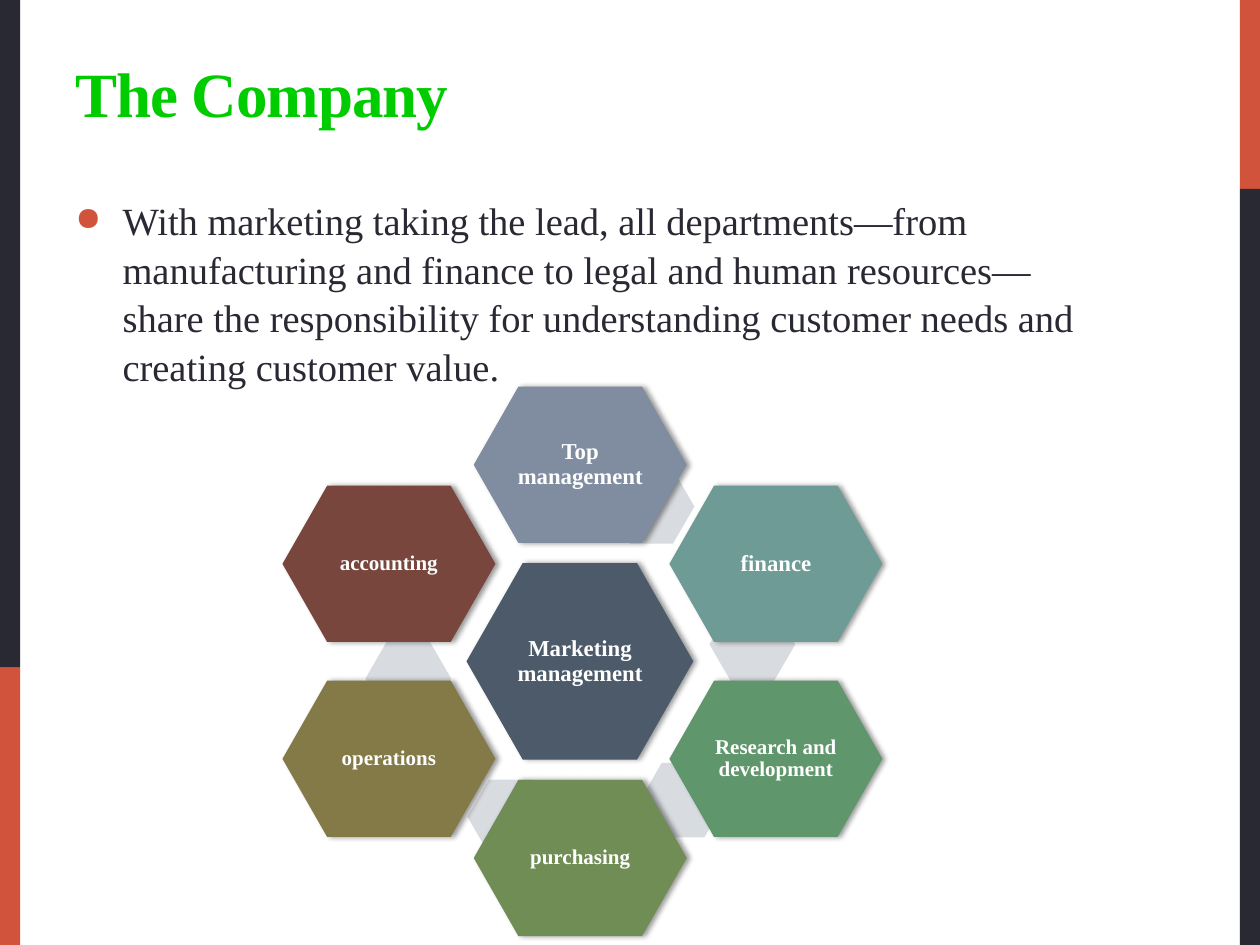
"""Build the slide on marketing's place among the company's departments."""
from typing import Any, NamedTuple

from lxml.etree import SubElement
from pptx import Presentation
from pptx.dml.color import RGBColor
from pptx.enum.shapes import MSO_SHAPE as Preset
from pptx.enum.text import MSO_ANCHOR as Anchor, PP_ALIGN as Align
from pptx.oxml.ns import qn
from pptx.shapes.autoshape import Shape
from pptx.slide import Slide
from pptx.util import Pt

RED = RGBColor(0xD2, 0x53, 0x3C)
DARK = RGBColor(0x29, 0x29, 0x34)
GREEN = RGBColor(0x00, 0xCC, 0x00)
WHITE = RGBColor(0xFF, 0xFF, 0xFF)
PALE = RGBColor(0xD8, 0xDB, 0xDF)
SLATE = RGBColor(0x4C, 0x5A, 0x6A)
BLUE_GREY = RGBColor(0x80, 0x8D, 0xA0)
TEAL = RGBColor(0x6F, 0x9B, 0x97)
SEA_GREEN = RGBColor(0x60, 0x96, 0x6C)
MOSS = RGBColor(0x6F, 0x8D, 0x54)
OLIVE = RGBColor(0x83, 0x7A, 0x48)
BROWN = RGBColor(0x79, 0x46, 0x3D)

FONT = "Times New Roman"
DEPARTMENT_SIZE = (121.7, 89.3)
CENTRE_SIZE = (129.6, 112.3)
TIE_SIZE = (49, 42.5)
NO_MARGINS = dict.fromkeys(
    ("margin_left", "margin_right", "margin_top", "margin_bottom"), Pt(1.5))


class Box(NamedTuple):
    left: float
    top: float
    width: float
    height: float


class Bar(NamedTuple):
    box: Box
    colour: RGBColor


class Department(NamedTuple):
    label: str
    left: float
    top: float
    colour: RGBColor
    size: int
    tie: tuple[float, float] | None = None
    extent: tuple[float, float] = DEPARTMENT_SIZE


BARS = (
    Bar(Box(708.5, 0, 11.5, 108), RED),
    Bar(Box(708.5, 108, 11.5, 432), DARK),
    Bar(Box(0, 381.6, 11.5, 158.4), RED),
    Bar(Box(0, 0, 11.5, 381.6), DARK),
)
DEPARTMENTS = (
    Department("Marketing management", 266.6, 321.8, SLATE, 13, extent=CENTRE_SIZE),
    Department("Top management", 270.7, 221, BLUE_GREY, 13, (347.8, 268.2)),
    Department("finance", 382.5, 277.6, TEAL, 13, (405.4, 347)),
    Department("Research and development", 382.5, 389, SEA_GREEN, 12, (365.8, 436)),
    Department("purchasing", 270.7, 445.7, MOSS, 12, (267.1, 445.5)),
    Department("operations", 161.4, 389, OLIVE, 12, (208.8, 366.5)),
    Department("accounting", 161.4, 277.6, BROWN, 12),
)


def apply(target: Any, values: dict[str, Any]) -> None:
    """Set each named attribute of the target."""
    for name, value in values.items():
        setattr(target, name, value)


def write(shape: Shape, text: str, colour: RGBColor, font: dict[str, Any],
          frame: dict[str, Any], layout: dict[str, Any]) -> Any:
    """Fill the shape with one formatted paragraph and return it."""
    text_frame = shape.text_frame
    apply(text_frame, {"word_wrap": True, **frame})
    paragraph = text_frame.paragraphs[0]
    apply(paragraph, layout)
    run = paragraph.add_run()
    run.text = text
    apply(run.font, {"name": FONT, **font})
    run.font.color.rgb = colour
    return paragraph


def add_plain_shape(slide: Slide, preset: Preset, box: Box, colour: RGBColor) -> Shape:
    """Add a filled shape with neither line nor shadow."""
    shape = slide.shapes.add_shape(preset, *map(Pt, box))
    shape.shadow.inherit = False
    shape.fill.solid()
    shape.fill.fore_color.rgb = colour
    shape.line.fill.background()
    return shape


def add_hexagon(slide: Slide, box: Box, colour: RGBColor, adjustment: float) -> Shape:
    """Add a hexagon with the given corner adjustment."""
    hexagon = add_plain_shape(slide, Preset.HEXAGON, box, colour)
    hexagon.adjustments[0] = adjustment
    return hexagon


def cast_shadow(shape: Shape) -> None:
    """Give the shape a soft shadow to its right."""
    effects = shape._element.spPr.find(qn("a:effectLst"))
    shadow = SubElement(effects, qn("a:outerShdw"), blurRad=str(Pt(3.1)),
                        dist=str(Pt(1.8)), dir="0", rotWithShape="0")
    colour = SubElement(shadow, qn("a:srgbClr"), val="000000")
    SubElement(colour, qn("a:alpha"), val="40000")


def add_department(slide: Slide, department: Department) -> None:
    """Draw a department's hexagon over the tie to its neighbour."""
    if department.tie:
        add_hexagon(slide, Box(*department.tie, *TIE_SIZE), PALE, 0.289)
    box = Box(department.left, department.top, *department.extent)
    hexagon = add_hexagon(slide, box, department.colour, 0.286)
    cast_shadow(hexagon)
    write(hexagon, department.label, WHITE,
          {"size": Pt(department.size), "bold": True},
          {"vertical_anchor": Anchor.MIDDLE, **NO_MARGINS},
          {"alignment": Align.CENTER, "line_spacing": 0.9})


def add_title(slide: Slide) -> None:
    """Add the slide's title."""
    title = slide.shapes.add_textbox(*map(Pt, Box(36, 12.2, 550.8, 65.5)))
    paragraph = write(title, "The Company", GREEN, {"size": Pt(36), "bold": True},
                      {"vertical_anchor": Anchor.BOTTOM}, {})
    paragraph.runs[0]._r.get_or_add_rPr().set("spc", "-60")


def add_body(slide: Slide) -> None:
    """Add the bulleted statement."""
    body = slide.shapes.add_textbox(*map(Pt, Box(36, 108, 599.8, 374.4)))
    paragraph = write(
        body,
        "With marketing taking the lead, all departments—from manufacturing and "
        "finance to legal and human resources—share the responsibility for "
        "understanding customer needs and creating customer value.",
        DARK, {"size": Pt(22)}, {"vertical_anchor": Anchor.TOP},
        {"line_spacing": 1.05, "space_after": Pt(6)})
    properties = paragraph._p.get_or_add_pPr()
    properties.set("marL", str(Pt(27)))
    properties.set("indent", str(Pt(-27)))
    bullet_colour = SubElement(properties, qn("a:buClr"))
    SubElement(bullet_colour, qn("a:srgbClr"), val=str(RED))
    SubElement(properties, qn("a:buSzPct"), val="85000")
    SubElement(properties, qn("a:buChar"), char="●")


def main() -> None:
    """Build and save the presentation."""
    presentation = Presentation()
    apply(presentation, {"slide_width": Pt(720), "slide_height": Pt(540)})
    slide = presentation.slides.add_slide(presentation.slide_layouts[6])
    for bar in BARS:
        add_plain_shape(slide, Preset.RECTANGLE, bar.box, bar.colour)
    add_title(slide)
    add_body(slide)
    for department in DEPARTMENTS:
        add_department(slide, department)
    presentation.save("out.pptx")


if __name__ == "__main__":
    main()
